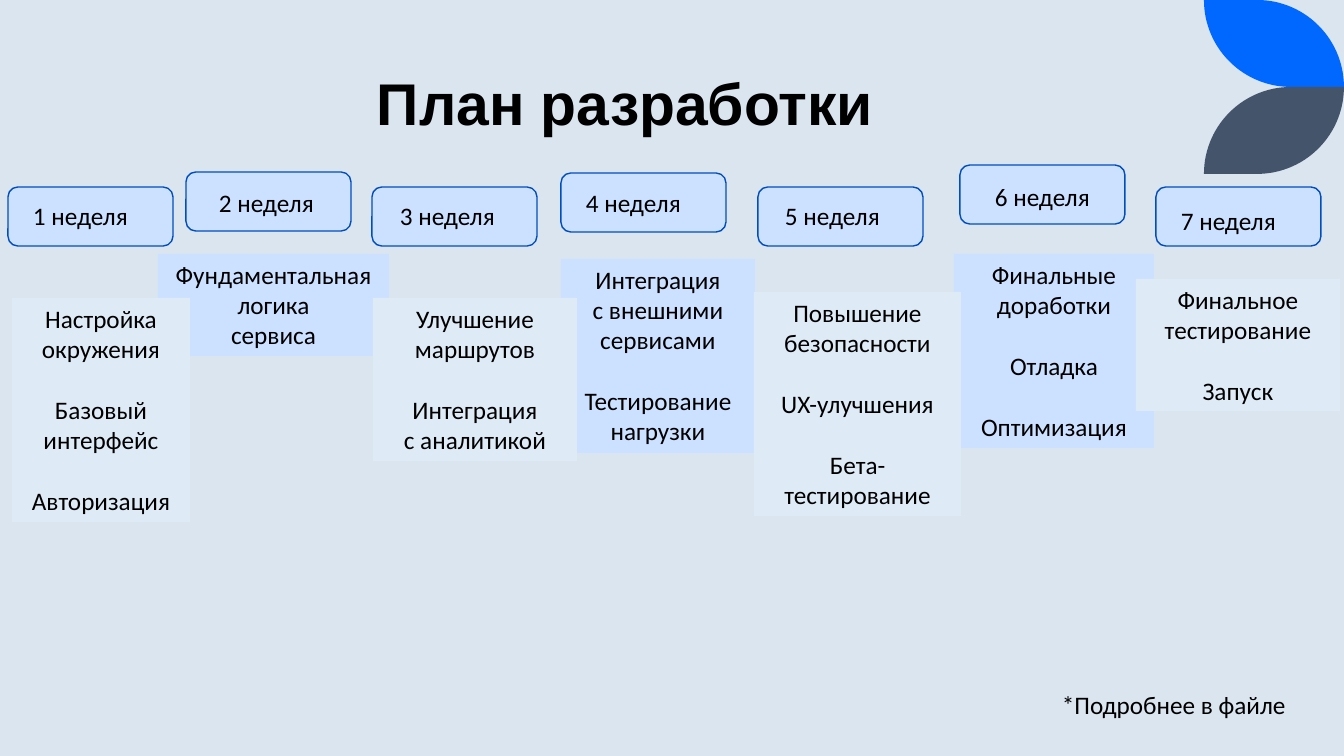
import math

import pptx
import pptx.dml.color
import pptx.enum.shapes
import pptx.enum.text
import pptx.util

EMU_PER_PX = 12192000 / 1344
SHAPE = pptx.enum.shapes.MSO_SHAPE
ALIGN = pptx.enum.text.PP_ALIGN
ANCHOR = pptx.enum.text.MSO_ANCHOR
FIT = pptx.enum.text.MSO_AUTO_SIZE

BACKGROUND, BLUE, SLATE = "DAE5EF", "0068FF", "44546A"
ACCENT, PALE, OUTLINE, BLACK = "CCE1FF", "DEEBF7", "004DBD", "000000"

# Tag position, label position, card box, groups of card lines
WEEKS = [
    ((8, 187), (23, 195), (12, 298, 178, 224),
     [["Настройка окружения"], ["Базовый интерфейс"], ["Авторизация"]]),
    ((186, 172), (209, 182), (158, 254, 231, 102),
     [["Фундаментальная", "логика", "сервиса"]]),
    ((372, 187), (390, 195), (373, 298, 204, 163),
     [["Улучшение", "маршрутов"], ["Интеграция", "с аналитикой"]]),
    ((561, 173), (576, 182), (561, 259, 194, 194),
     [["Интеграция", "с внешними", "сервисами"], ["Тестирование", "нагрузки"]]),
    ((758, 187), (775, 195), (754, 292, 207, 224),
     [["Повышение", "безопасности"], ["UX-улучшения"], ["Бета-тестирование"]]),
    ((960, 165), (985, 176), (954, 254, 200, 194),
     [["Финальные доработки"], ["Отладка"], ["Оптимизация"]]),
    ((1156, 187), (1171, 200), (1136, 279, 204, 132),
     [["Финальное тестирование"], ["Запуск"]]),
]


def px(value):
    return pptx.util.Emu(round(value * EMU_PER_PX))


def color(value):
    return pptx.dml.color.RGBColor.from_string(value)


class PlanSlide:
    font, size, line_gap = "Calibri", 18, 22

    def __init__(self, deck):
        self.page = deck.slides.add_slide(deck.slide_layouts[5])
        self.fill(self.page.background, BACKGROUND)

    def fill(self, item, value):
        item.fill.solid()
        item.fill.fore_color.rgb = color(value)

    def format(self, para, font, size, bold=False):
        for span in para.runs:
            span.font.name = font
            span.font.size = pptx.util.Pt(size)
            span.font.bold = bold
            span.font.color.rgb = color(BLACK)

    def title(self, text, left, top, width, height):
        box = self.page.shapes.title
        box.left, box.top, box.width, box.height = map(px, (left, top, width, height))
        frame = box.text_frame
        frame.text = text
        frame.auto_size = FIT.NONE
        frame.vertical_anchor = ANCHOR.BOTTOM
        frame.margin_right = px(26)
        para = frame.paragraphs[0]
        para.alignment = ALIGN.CENTER
        para.line_spacing = 0.8
        self.format(para, "Arial", 42, bold=True)

    def shape(self, kind, left, top, width, height, value, outline=None):
        box = self.page.shapes.add_shape(kind, *map(px, (left, top, width, height)))
        box.shadow.inherit = False
        self.fill(box, value)
        if outline:
            box.line.color.rgb = color(outline)
            box.line.width = pptx.util.Pt(1)
        else:
            box.line.fill.background()
        return box

    def label(self, text, left, top, width, height=40):
        box = self.page.shapes.add_textbox(*map(px, (left, top, width, height)))
        frame = box.text_frame
        frame.text = text
        frame.word_wrap = True
        frame.auto_size = FIT.SHAPE_TO_FIT_TEXT
        self.format(frame.paragraphs[0], self.font, self.size)

    def card(self, groups, area, value):
        frame = self.shape(SHAPE.RECTANGLE, *area, value).text_frame
        frame.text = "\n".join(line for group in groups for line in group)
        frame.word_wrap = True
        frame.vertical_anchor = ANCHOR.TOP
        frame.auto_size = FIT.SHAPE_TO_FIT_TEXT
        for para in frame.paragraphs:
            para.alignment = ALIGN.CENTER
            self.format(para, self.font, self.size)
        # One line of space opens every group after the first
        start = 0
        for group in groups[:-1]:
            start += len(group)
            frame.paragraphs[start].space_before = pptx.util.Pt(self.line_gap)

    def leaf(self, left, top, width, radius, value, flipped=False):
        steps = [math.radians(angle) for angle in range(0, 91, 3)]
        points = [(0, 0)]
        points += [(width - radius + radius * math.sin(step),
                    radius - radius * math.cos(step)) for step in steps]
        points += [(radius - radius * math.sin(step),
                    radius * math.cos(step)) for step in steps]
        points = [(px(left + x), px(top + (radius - y if flipped else y)))
                  for x, y in points]
        builder = self.page.shapes.build_freeform(*points[0], scale=1.0)
        builder.add_line_segments(points[1:], close=True)
        outline = builder.convert_to_shape()
        outline.shadow.inherit = False
        self.fill(outline, value)
        outline.line.fill.background()


def main():
    deck = pptx.Presentation()
    deck.slide_width, deck.slide_height = px(1344), px(756)
    plan = PlanSlide(deck)

    # Corner leaves and title
    plan.leaf(1204, 0, 140, 87, BLUE)
    plan.leaf(1204, 87, 140, 87, SLATE, flipped=True)
    plan.title("План разработки", 94, -31, 1078, 173)

    # Week tags, then their labels
    for tag, _, _, _ in WEEKS:
        plan.shape(SHAPE.ROUNDED_RECTANGLE, *tag, 165, 59, ACCENT, OUTLINE)
    for number, (_, label, _, _) in enumerate(WEEKS, 1):
        plan.label(f"{number} неделя", *label, 135)

    # Cards: even weeks lie beneath odd weeks
    for weeks, value in ((WEEKS[1::2], ACCENT), (WEEKS[::2], PALE)):
        for _, _, area, groups in weeks:
            plan.card(groups, area, value)

    # Footnote
    plan.label("*Подробнее в файле", 1052, 684, 277)
    deck.save("out.pptx")


if __name__ == "__main__":
    main()
